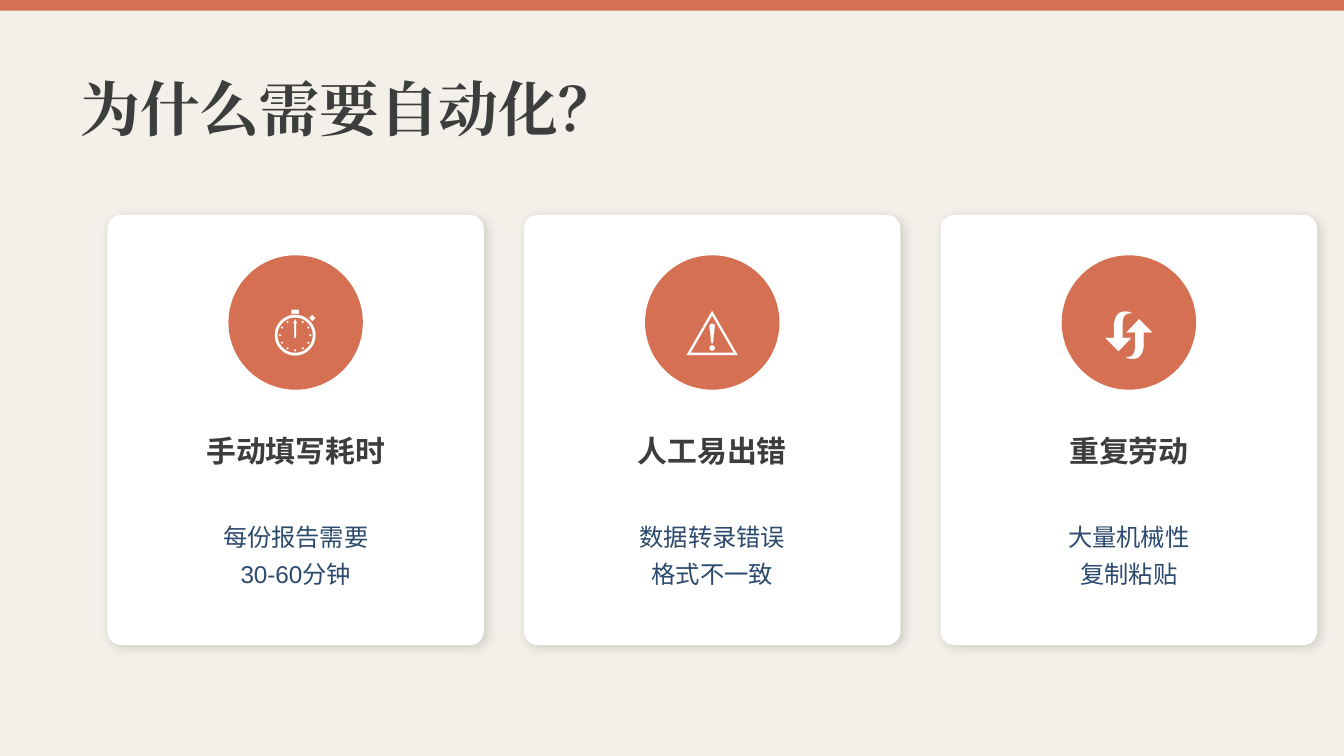
"""Build a slide with three cards on why automation is needed."""
from lxml.etree import SubElement
from pptx import Presentation
from pptx.dml.color import RGBColor
from pptx.enum.shapes import MSO_SHAPE
from pptx.enum.text import MSO_ANCHOR, PP_ALIGN
from pptx.oxml.ns import qn
from pptx.util import Pt

CORAL, WHITE, DARK, NAVY = "D67052", "FFFFFF", "3D3D3D", "2C4A6E"
CARDS = [
    ("⏱", "手动填写耗时", ["每份报告需要", "30-60分钟"]),
    ("⚠", "人工易出错", ["数据转录错误", "格式不一致"]),
    ("🔄", "重复劳动", ["大量机械性", "复制粘贴"]),
]


def tint(code):
    return RGBColor.from_string(code)


class Deck:
    def __init__(self):
        self.file = Presentation()
        self.file.slide_width, self.file.slide_height = Pt(720), Pt(405)
        self.slide = self.file.slides.add_slide(self.file.slide_layouts[6])
        fill = self.slide.background.fill
        fill.solid()
        fill.fore_color.rgb = tint("F3F0E9")

    def shape(self, kind, box, color):
        item = self.slide.shapes.add_shape(kind, *map(Pt, box))
        item.shadow.inherit = False
        item.fill.solid()
        item.fill.fore_color.rgb = tint(color)
        item.line.fill.background()
        return item

    def panel(self, box):
        item = self.shape(MSO_SHAPE.ROUNDED_RECTANGLE, box, WHITE)
        item.adjustments[0] = 0.036
        glow = SubElement(item._element.spPr.find(qn("a:effectLst")), qn("a:outerShdw"),
                          blurRad=str(Pt(6)), dist=str(Pt(2)), dir=str(45 * 60000),
                          algn="bl", rotWithShape="0")
        shade = SubElement(glow, qn("a:srgbClr"), val="000000")
        SubElement(shade, qn("a:alpha"), val="15000")

    def text(self, box, lines, size, color, align=PP_ALIGN.CENTER,
             bold=False, name="Arial", pitch=None):
        frame = self.slide.shapes.add_textbox(*map(Pt, box)).text_frame
        frame.word_wrap = True
        frame.vertical_anchor = MSO_ANCHOR.MIDDLE
        frame.text = "\n".join(lines)
        style = {"size": Pt(size), "bold": bold, "name": name}
        for para in frame.paragraphs:
            para.alignment = align
            para.line_spacing = pitch
            font = para.runs[0].font
            for key, value in style.items():
                setattr(font, key, value)
            font.color.rgb = tint(color)
            SubElement(para.runs[0]._r.rPr, qn("a:ea"), typeface=name)

    def card(self, left, icon, head, body):
        self.panel((left, 115.2, 201.6, 230.4))
        mid = left + 64.8
        self.shape(MSO_SHAPE.OVAL, (mid, 136.8, 72, 72), CORAL)
        self.text((mid, 147.6, 72, 57.6), [icon], 28, WHITE)
        self.text((left, 223.2, 201.6, 36), [head], 16, DARK, bold=True)
        self.text((left, 259.2, 201.6, 72), body, 13, NAVY, pitch=Pt(20))


def main():
    deck = Deck()
    deck.shape(MSO_SHAPE.RECTANGLE, (0, 0, 720, 5.76), CORAL)
    deck.text((36, 28.8, 648, 57.6), ["为什么需要自动化？"], 32, DARK,
              align=PP_ALIGN.LEFT, bold=True, name="Cambria")
    for step, parts in enumerate(CARDS):
        deck.card(57.6 + step * 223.2, *parts)
    deck.file.save("out.pptx")


if __name__ == "__main__":
    main()
